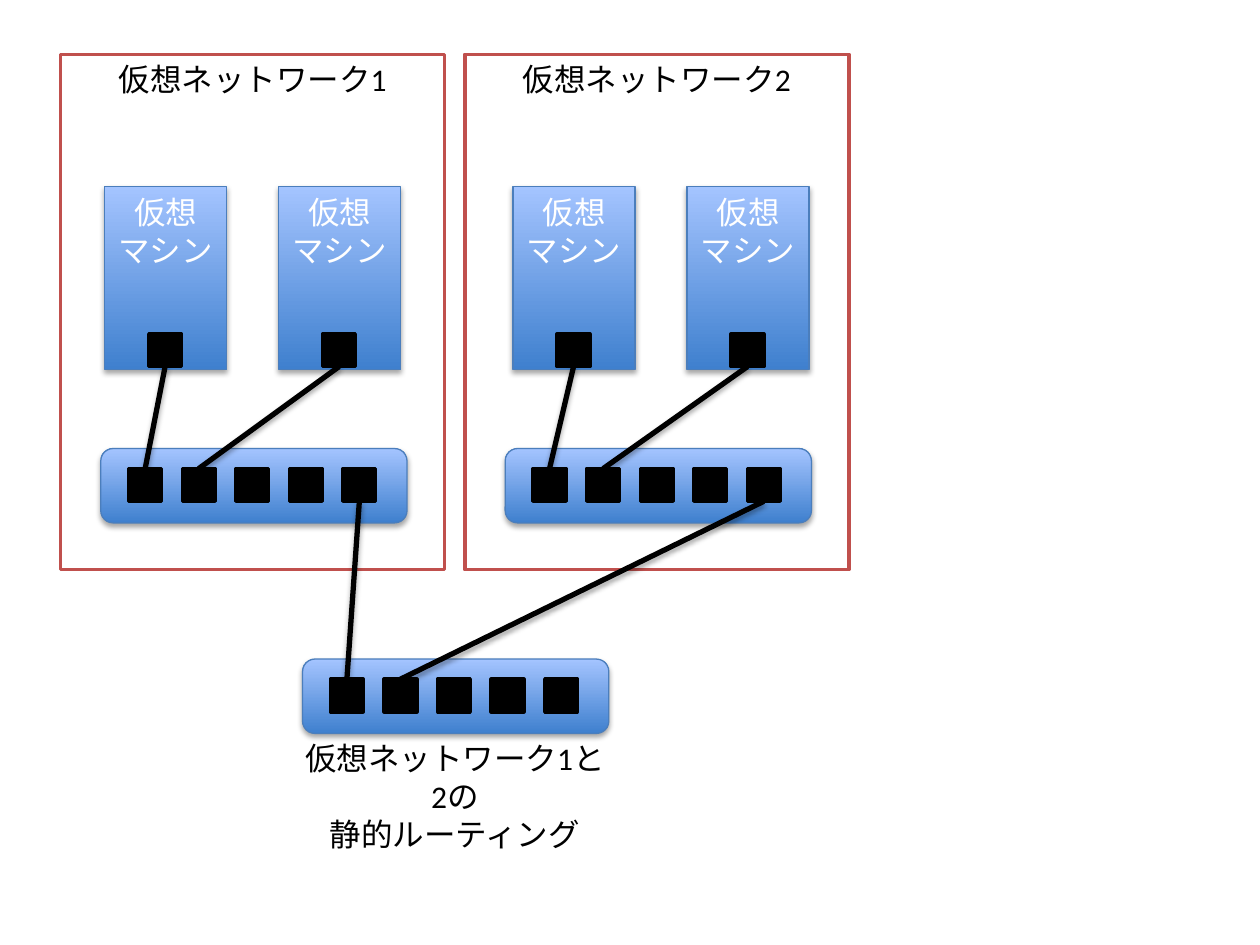
from lxml import etree
from pptx import Presentation
from pptx.dml.color import RGBColor
from pptx.enum import shapes, text
from pptx.oxml.ns import qn
from pptx.util import Pt

COLORS = {
    "white": "FFFFFF",
    "black": "000000",
    "frame": "C0504D",
    "edge": "4B7EBC",
    "dark": "3F80CE",
    "light": "A4C4FF",
}
TOP_SITE, BOTTOM_SITE = 0, 2
PORT_SIZE = 18.7
PORT_COUNT, PORT_PITCH = 5, 30.6
FRAME_LEFTS = (34.5, 265.6)
SWITCH_LEFTS = (57.6, 288.7)
MACHINE_LEFTS = (59.8, 293.2)
MACHINE_PITCH = 99.4


def rgb(name):
    return RGBColor.from_string(COLORS[name])


def add_shadow(effects):
    """Put a soft downward shadow into an effect list."""
    shadow = etree.SubElement(
        effects, qn("a:outerShdw"), blurRad=str(Pt(3.1)), dist=str(Pt(1.8)),
        dir="5400000", rotWithShape="0")
    color = etree.SubElement(shadow, qn("a:srgbClr"), val=COLORS["black"])
    etree.SubElement(color, qn("a:alpha"), val="35000")


def set_line(shape, color, width):
    shape.line.color.rgb = rgb(color)
    shape.line.width = Pt(width)


def write_text(shape, content, color, **frame_format):
    frame = shape.text_frame
    frame_format = {"word_wrap": True, "vertical_anchor": text.MSO_ANCHOR.TOP,
                    **frame_format}
    for name, value in frame_format.items():
        setattr(frame, name, value)
    paragraph = frame.paragraphs[0]
    paragraph.text = content
    paragraph.alignment = text.PP_ALIGN.CENTER
    for run in paragraph.runs:
        for name, value in {"name": "Calibri", "size": Pt(18)}.items():
            setattr(run.font, name, value)
        run.font.color.rgb = rgb(color)


def add_box(parent, box, fill, line, width):
    shape = parent.add_shape(shapes.MSO_SHAPE.RECTANGLE, *map(Pt, box))
    shape.shadow.inherit = False
    shape.fill.solid()
    shape.fill.fore_color.rgb = rgb(fill)
    set_line(shape, line, width)
    return shape


def add_device(parent, kind, box):
    """Add a blue gradient body with a shadow."""
    shape = parent.add_shape(kind, *map(Pt, box))
    shape.fill.gradient()
    shape.fill.gradient_angle = 90
    for stop, color, position in zip(shape.fill.gradient_stops,
                                     ("dark", "light"), (0, 1)):
        stop.color.rgb = rgb(color)
        stop.position = position
    set_line(shape, "edge", 0.75)
    shape.shadow.inherit = False
    add_shadow(shape._element.spPr.find(qn("a:effectLst")))
    return shape


def add_port(parent, left, top):
    return add_box(parent, (left, top, PORT_SIZE, PORT_SIZE), "black", "black", 2)


def add_network(slide, left, title):
    frame = add_box(slide.shapes, (left, 31, 219.6, 294.5), "white", "frame", 2)
    write_text(frame, title, "black")


def add_switch(slide, left, top):
    """Add a switch and return its ports."""
    group = slide.shapes.add_group_shape().shapes
    add_device(group, shapes.MSO_SHAPE.ROUNDED_RECTANGLE, (left, top, 175, 42.5))
    return [add_port(group, left + 16 + i * PORT_PITCH, top + 11.5)
            for i in range(PORT_COUNT)]


def add_machine(slide, left):
    """Add a virtual machine and return its port."""
    group = slide.shapes.add_group_shape().shapes
    body = add_device(group, shapes.MSO_SHAPE.RECTANGLE, (left, 106.6, 69.8, 104.6))
    write_text(body, "仮想\nマシン", "white")
    return add_port(group, left + 25.2, 190.8)


def add_cable(slide, upper_port, lower_port):
    cable = slide.shapes.add_connector(shapes.MSO_CONNECTOR.STRAIGHT, 0, 0, 0, 0)
    cable.begin_connect(upper_port, BOTTOM_SITE)
    cable.end_connect(lower_port, TOP_SITE)
    set_line(cable, "black", 3)
    add_shadow(etree.SubElement(cable._element.spPr, qn("a:effectLst")))


def main():
    presentation = Presentation()
    presentation.slide_width, presentation.slide_height = Pt(720), Pt(540)
    slide = presentation.slides.add_slide(presentation.slide_layouts[6])

    for number, left in reversed(list(enumerate(FRAME_LEFTS, 1))):
        add_network(slide, left, f"仮想ネットワーク{number}")
    switches = [add_switch(slide, left, 256.3) for left in SWITCH_LEFTS]
    router = add_switch(slide, 172.9, 376.6)
    machines = [[add_machine(slide, left + i * MACHINE_PITCH) for i in range(2)]
                for left in MACHINE_LEFTS]

    for machine_ports, switch in zip(machines, switches):
        for machine_port, switch_port in zip(machine_ports, switch):
            add_cable(slide, machine_port, switch_port)
    for switch, router_port in zip(switches, router):
        add_cable(slide, switch[-1], router_port)

    caption = slide.shapes.add_textbox(Pt(163.4), Pt(419), Pt(193), Pt(51))
    write_text(caption, "仮想ネットワーク1と2の\n静的ルーティング", "black",
               auto_size=text.MSO_AUTO_SIZE.SHAPE_TO_FIT_TEXT)
    presentation.save("out.pptx")


if __name__ == "__main__":
    main()
